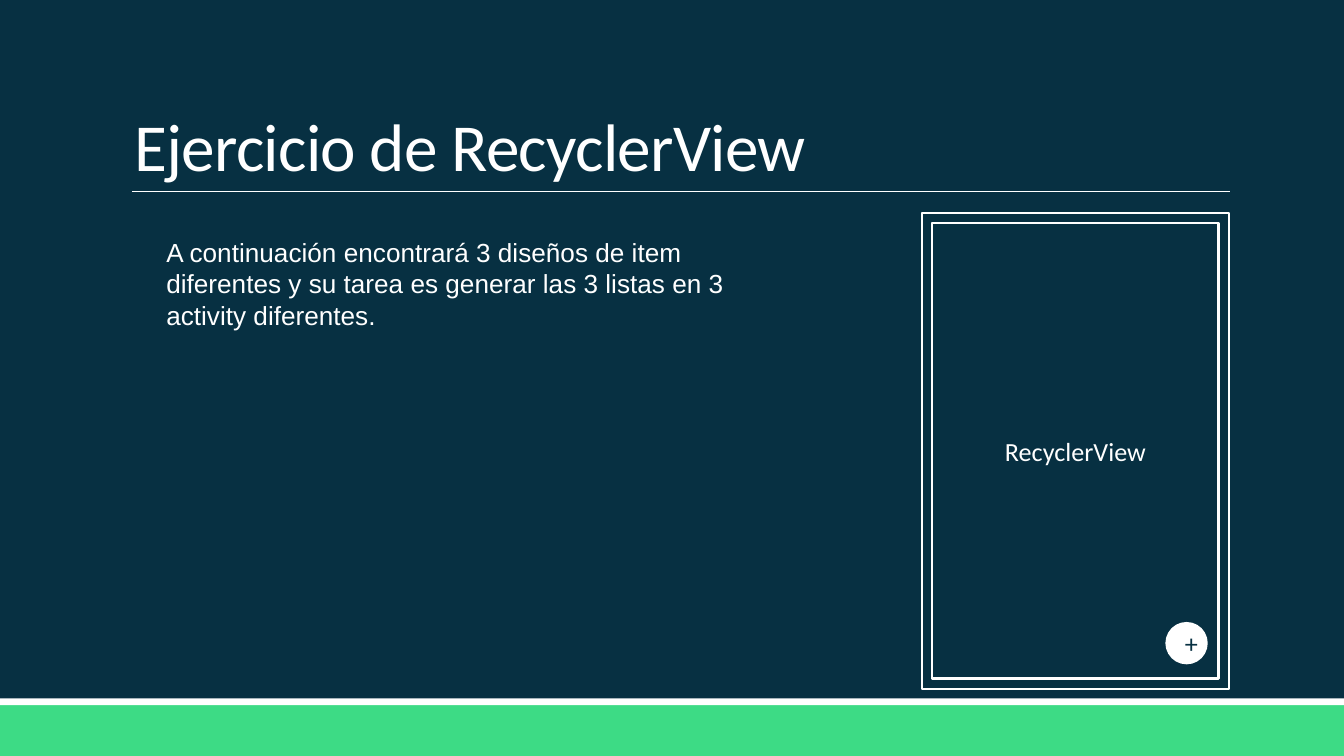
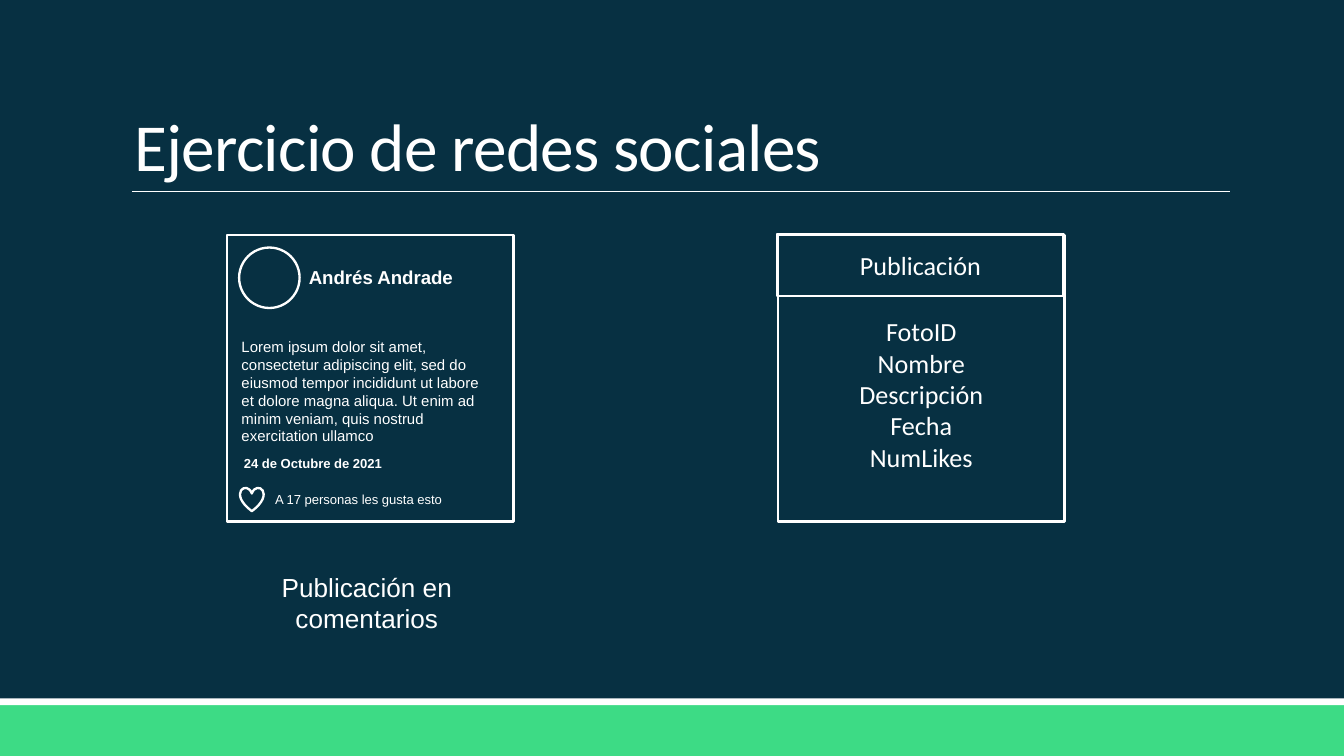
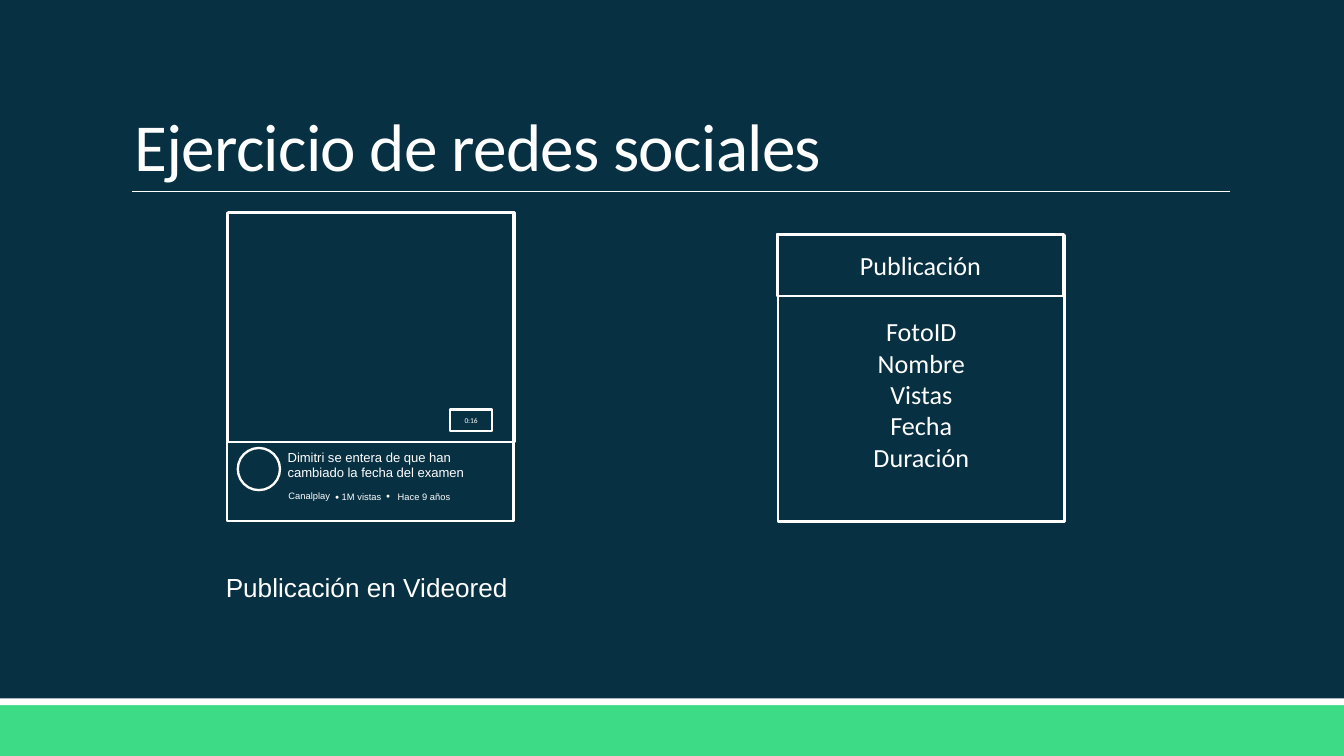
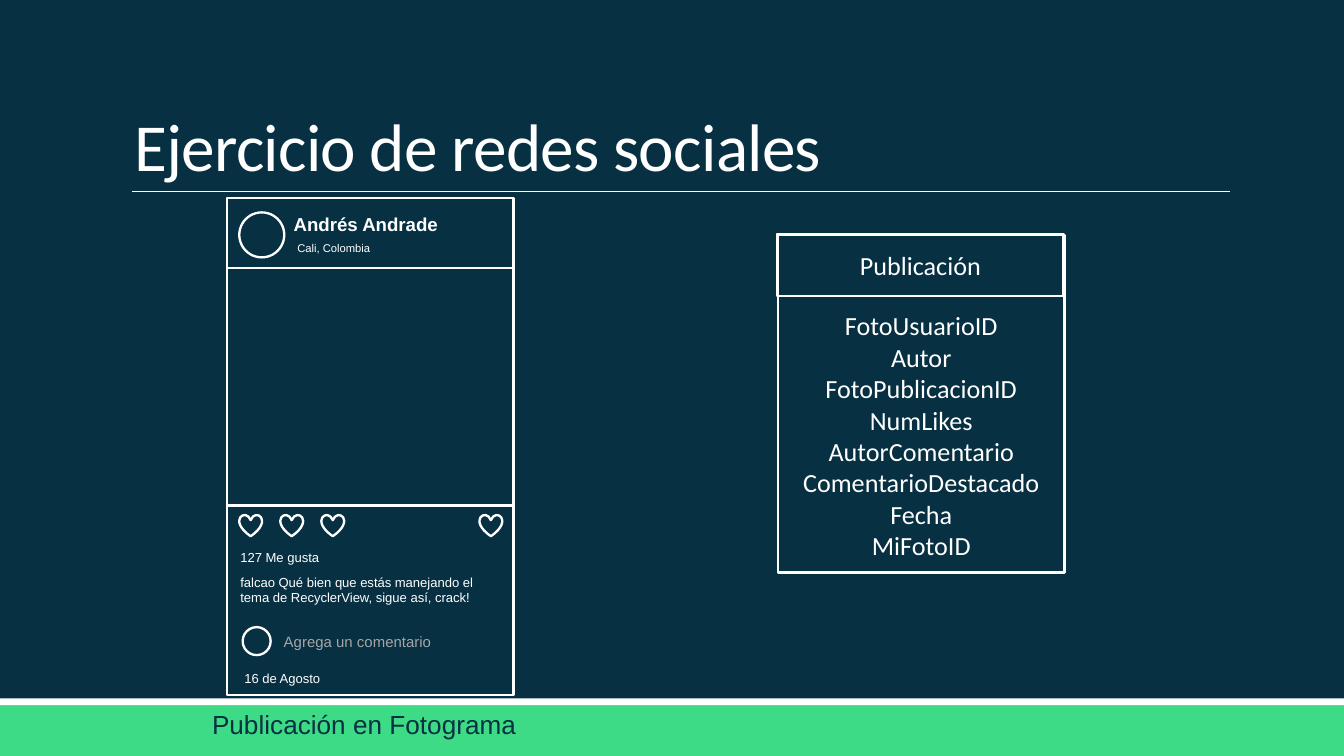
import pptx
import pptx.dml.color
import pptx.enum.shapes
import pptx.enum.text
import pptx.oxml
import pptx.util

NAVY, GREEN, WHITE, GREY = "073042", "3DDB85", "FFFFFF", "A6A6A6"
HEADING_FONT, BODY_FONT = "Calibri", "Arial"
RECTANGLE = pptx.enum.shapes.MSO_SHAPE.RECTANGLE
OVAL = pptx.enum.shapes.MSO_SHAPE.OVAL
HEART = pptx.enum.shapes.MSO_SHAPE.HEART
LEFT, CENTER = pptx.enum.text.PP_ALIGN.LEFT, pptx.enum.text.PP_ALIGN.CENTER
CARD_LEFT, CARD_WIDTH = 121.7, 153.4
CLASS_LEFT, CLASS_TOP = 416.9, 126
LINE_HEIGHT = 16.8


def rgb(color):
    """Turn a hex string into a colour."""
    return pptx.dml.color.RGBColor.from_string(color)


def points(values):
    """Turn a sequence of numbers into lengths in points."""
    return [pptx.util.Pt(value) for value in values]


def write_lines(frame, lines, size, font, color=WHITE, align=CENTER, bold=False):
    """Write each line as a paragraph of one run and return the last run."""
    frame.word_wrap = True
    for index, line in enumerate(lines):
        paragraph = frame.add_paragraph() if index else frame.paragraphs[0]
        paragraph.alignment = align
        run = paragraph.add_run()
        run.text = line
        run.font.size = pptx.util.Pt(size)
        run.font.name = font
        run.font.bold = bold
        run.font.color.rgb = rgb(color)
    return run


def add_figure(slide, kind, box, fill=None, line=WHITE, lines=(), size=14, color=WHITE):
    """Add a preset shape with optional fill, outline and centred text."""
    shape = slide.shapes.add_shape(kind, *points(box))
    shape.shadow.inherit = False
    if fill:
        shape.fill.solid()
        shape.fill.fore_color.rgb = rgb(fill)
    else:
        shape.fill.background()
    if line:
        shape.line.color.rgb = rgb(line)
        shape.line.width = pptx.util.Pt(1.25)
    else:
        shape.line.fill.background()
    if lines:
        shape.text_frame.vertical_anchor = pptx.enum.text.MSO_ANCHOR.MIDDLE
        write_lines(shape.text_frame, lines, size, HEADING_FONT, color)
    return shape


def add_label(slide, box, text, size, color=WHITE, align=LEFT, bold=False):
    """Add a wrapped text box that grows with its text."""
    frame = slide.shapes.add_textbox(*points(box)).text_frame
    write_lines(frame, [text], size, BODY_FONT, color, align, bold)
    frame.auto_size = pptx.enum.text.MSO_AUTO_SIZE.SHAPE_TO_FIT_TEXT


def add_caption(slide, left, top, height, text, color=WHITE):
    """Add the centred caption under a card."""
    add_label(slide, (left, top, 184.3, height), text, 14, color, CENTER)


def add_circle(slide, left, top, diameter, **style):
    """Add a circle by its corner and diameter."""
    add_figure(slide, OVAL, (left, top, diameter, diameter), **style)


def add_title(slide, text):
    """Add the title, anchored to the rule below it."""
    frame = slide.shapes.add_textbox(*points((64.8, 17.3, 594, 85.7))).text_frame
    frame.vertical_anchor = pptx.enum.text.MSO_ANCHOR.BOTTOM
    run = write_lines(frame, [text], 36, HEADING_FONT, align=LEFT)
    frame.paragraphs[0].line_spacing = 0.85
    run.font._element.set("spc", "-40")


def add_rule(slide):
    """Add the thin rule under the title."""
    straight = pptx.enum.shapes.MSO_CONNECTOR.STRAIGHT
    rule = slide.shapes.add_connector(straight, *points((70.6, 102.7, 658.8, 102.7)))
    rule.line.color.rgb = rgb(WHITE)
    rule.line.width = pptx.util.Pt(0.5)
    properties = rule._element.spPr
    properties.append(properties.makeelement(pptx.oxml.ns.qn("a:effectLst"), {}))


def add_titled_slide(presentation, title):
    """Add a slide with the bands, the rule and the title."""
    slide = presentation.slides.add_slide(presentation.slide_layouts[6])
    add_figure(slide, RECTANGLE, (0, 377.8, 720, 27.2), GREEN, None)
    add_figure(slide, RECTANGLE, (0, 374.1, 720, 3.7), WHITE, None)
    add_rule(slide)
    add_title(slide, title)
    return slide


def add_class_box(slide, height, fields, spare_lines):
    """Add the class diagram, its fields pushed below the header."""
    body = add_figure(slide, RECTANGLE, (CLASS_LEFT, CLASS_TOP, CARD_WIDTH, height), lines=fields)
    body.text_frame.margin_top = pptx.util.Pt(3.6 + spare_lines * LINE_HEIGHT)
    header = (CLASS_LEFT - 0.5, CLASS_TOP - 0.5, CARD_WIDTH, 33)
    add_figure(slide, RECTANGLE, header, lines=["Publicación"])


def add_card(slide, top, height, left=CARD_LEFT):
    """Add one outlined panel of a card."""
    add_figure(slide, RECTANGLE, (left, top, CARD_WIDTH, height))


def build_exercise(presentation):
    """Build the slide that explains the exercise."""
    slide = add_titled_slide(presentation, "Ejercicio de RecyclerView")
    add_label(slide, (82, 123.1, 334.8, 58.3),
              "A continuación encontrará 3 diseños de item diferentes y su tarea es "
              "generar las 3 listas en 3 activity diferentes.", 14)
    add_figure(slide, RECTANGLE, (494, 114, 164.4, 255))
    add_figure(slide, RECTANGLE, (499.5, 119.5, 153.4, 244), lines=["RecyclerView"])
    add_circle(slide, 624.3, 333.2, 22.7, fill=WHITE, line=None, lines=["+"], color=NAVY)


def build_comment_post(presentation):
    """Build the slide with the comment post."""
    slide = add_titled_slide(presentation, "Ejercicio de redes sociales")
    add_card(slide, 126, 153.4)
    add_circle(slide, 128.1, 132.6, 32.4)
    add_figure(slide, HEART, (128.6, 261.2, 12.6, 12.6))
    add_label(slide, (140.3, 259.7, 111.6, 15.8), "A 17 personas les gusta esto", 7)
    add_label(slide, (158.4, 139.1, 105.8, 19.4), "Andrés Andrade", 10, bold=True)
    add_label(slide, (122.3, 177.3, 149.8, 65.5),
              "Lorem ipsum dolor sit amet, consectetur adipiscing elit, sed do eiusmod "
              "tempor incididunt ut labore et dolore magna aliqua. Ut enim ad minim "
              "veniam, quis nostrud exercitation ullamco", 8)
    add_label(slide, (123.6, 240.5, 111.6, 15.8), "24 de Octubre de 2021", 7, bold=True)
    add_caption(slide, 104.4, 302.6, 41, "Publicación en comentarios")
    add_class_box(slide, 153.4, ["FotoID", "Nombre", "Descripción", "Fecha", "NumLikes"], 1)


def build_video_post(presentation):
    """Build the slide with the video post."""
    slide = add_titled_slide(presentation, "Ejercicio de redes sociales")
    add_card(slide, 114, 165.2)
    add_circle(slide, 127.4, 240, 22.6)
    add_label(slide, (147, 237, 128.2, 24.5),
              "Dimitri se entera de que han cambiado la fecha del examen", 7)
    add_caption(slide, 104.4, 302.6, 24.5, "Publicación en Videored")
    add_class_box(slide, 153.4, ["FotoID", "Nombre", "Vistas", "Fecha", "Duración"], 1)
    add_card(slide, 113.8, 123, CARD_LEFT + 0.5)
    details = [(145.9, 259.2, 39.6, "Canalplay"),
               (173.9, 259.8, 39.6, "1M vistas"),
               (205.9, 259.8, 42.5, "Hace 9 años")]
    for left, top, width, text in details:
        add_label(slide, (left, top, width, 13.7), text, 5, align=CENTER)
    for left, top in [(179.8, 265.6), (207.1, 265)]:
        add_circle(slide, left, top, 1.6, fill=WHITE, line=None)
    add_figure(slide, RECTANGLE, (241.1, 219.5, 22.6, 11.5), NAVY, lines=["0:16"], size=4)


def build_photo_post(presentation):
    """Build the slide with the photo post."""
    slide = add_titled_slide(presentation, "Ejercicio de redes sociales")
    add_card(slide, 106, 266.4)
    add_circle(slide, 128.2, 113.8, 24.1)
    add_label(slide, (150.3, 110.5, 105.8, 19.4), "Andrés Andrade", 10, bold=True)
    add_label(slide, (152.2, 125.5, 105.8, 14.4), "Cali, Colombia", 6)
    add_card(slide, 143.5, 127.4)
    for left in (128.2, 150.2, 172.2, 256.9):
        add_figure(slide, HEART, (left, 275.8, 12.2, 11.5))
    add_label(slide, (121.7, 290.9, 111.6, 15.8), "127 Me gusta", 7)
    add_label(slide, (121.7, 304.1, 147.6, 24.5),
              "falcao Qué bien que estás manejando el tema de RecyclerView, "
              "sigue así, crack!", 7)
    add_circle(slide, 130, 336, 15)
    add_label(slide, (144.9, 335.3, 107.3, 17.3), "Agrega un comentario", 8, GREY)
    add_label(slide, (123.8, 355.7, 145.4, 15.8), "16 de Agosto", 7)
    add_caption(slide, 103, 376, 24.5, "Publicación en Fotograma", NAVY)
    add_class_box(slide, 180.7, ["FotoUsuarioID", "Autor", "FotoPublicacionID", "NumLikes",
                                 "AutorComentario", "ComentarioDestacado", "Fecha",
                                 "MiFotoID"], 2)


def main():
    """Build and save the presentation."""
    presentation = pptx.Presentation()
    presentation.slide_width, presentation.slide_height = points((720, 405))
    background = presentation.slide_master.background.fill
    background.solid()
    background.fore_color.rgb = rgb(NAVY)
    build_exercise(presentation)
    build_comment_post(presentation)
    build_video_post(presentation)
    build_photo_post(presentation)
    presentation.save("out.pptx")


if __name__ == "__main__":
    main()
